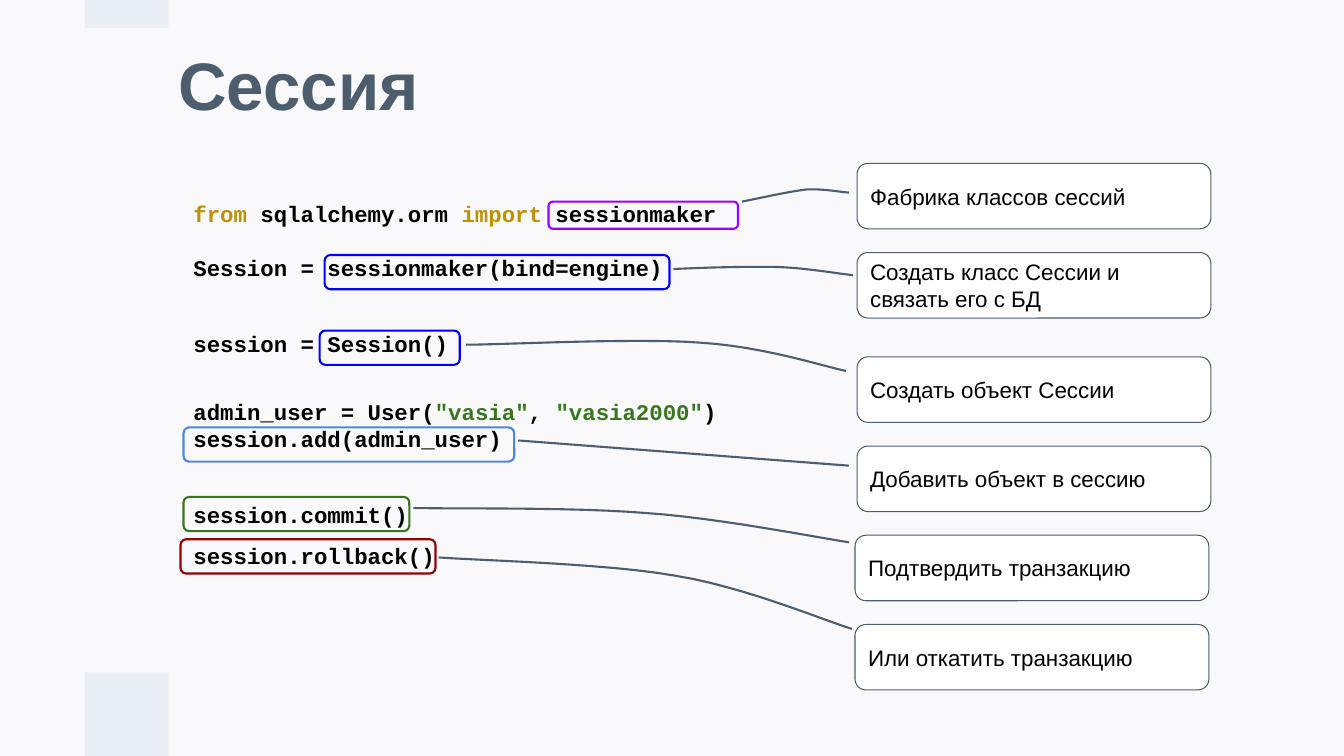
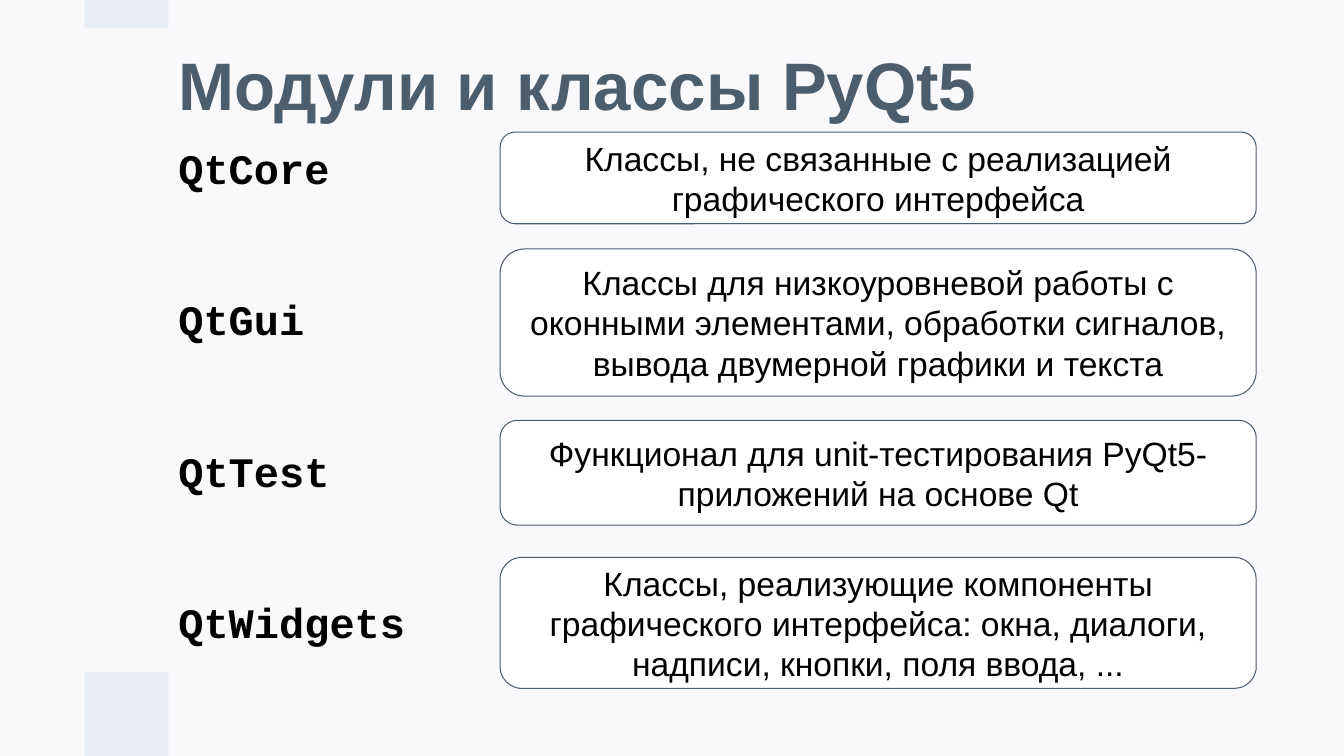
from lxml import etree
from pptx import Presentation
from pptx.dml.color import RGBColor
from pptx.enum.shapes import MSO_CONNECTOR, MSO_SHAPE
from pptx.enum.text import MSO_ANCHOR, PP_ALIGN
from pptx.oxml.ns import qn
from pptx.util import Inches, Pt

SLATE, BLACK, WHITE = "4C5D6E", "000000", "FFFFFF"
PAGE_FILL, BAND_FILL = "F9F9FB", "E9EDF4"
KEYWORD, STRING = "BF9000", "38761D"
SANS, MONO = "Arial", "Courier New"
LINE_RATIO = 1.2


def color(hex_code):
    return RGBColor.from_string(hex_code)


def inches(values):
    return [Inches(value) for value in values]


# Shared building blocks
def set_frame(shape, inset=0.1):
    frame = shape.text_frame
    frame.word_wrap = True
    frame.vertical_anchor = MSO_ANCHOR.MIDDLE
    frame.margin_left = frame.margin_right = Inches(0.1)
    frame.margin_top = frame.margin_bottom = Inches(inset)
    return frame


def set_para(para, size, name=SANS, hex_code=BLACK, bold=False, align=PP_ALIGN.LEFT):
    para.alignment = align
    para.line_spacing = Pt(size * LINE_RATIO)
    font = para.font
    font.name, font.size, font.bold = name, Pt(size), bold
    font.color.rgb = color(hex_code)


def add_box(page, box, kind, fill=None, line=None, width=0.75):
    shape = page.shapes.add_shape(kind, *inches(box))
    shape.shadow.inherit = False
    if fill:
        shape.fill.solid()
        shape.fill.fore_color.rgb = color(fill)
    else:
        shape.fill.background()
    if line:
        shape.line.color.rgb = color(line)
        shape.line.width = Pt(width)
    else:
        shape.line.fill.background()
    return shape


def add_card(page, box, text, size, align=PP_ALIGN.LEFT):
    card = add_box(page, box, MSO_SHAPE.ROUNDED_RECTANGLE, WHITE, SLATE)
    para = set_frame(card).paragraphs[0]
    para.text = text
    set_para(para, size, align=align)


def add_mono_lines(page, box, lines, size, gap=0):
    """Each line is a list of (text, colour) spans; gap is the space between lines."""
    frame = set_frame(page.shapes.add_textbox(*inches(box)))
    for index, spans in enumerate(lines):
        para = frame.add_paragraph() if index else frame.paragraphs[0]
        set_para(para, size, MONO, bold=True)
        if index:
            para.space_before = Pt(gap)
        for text, hex_code in spans:
            span = para.add_run()
            span.text = text
            if hex_code != BLACK:
                span.font.color.rgb = color(hex_code)


def add_page(deck, title):
    page = deck.slides.add_slide(deck.slide_layouts[6])
    page.background.fill.solid()
    page.background.fill.fore_color.rgb = color(PAGE_FILL)
    for top, height in ((0, 0.28), (6.67, 0.83)):
        add_box(page, (0.84, top, 0.83, height), MSO_SHAPE.RECTANGLE, BAND_FILL)
    box = page.shapes.add_textbox(*inches((1.67, 0.06, 10.79, 1.65)))
    para = set_frame(box, 0.05).paragraphs[0]
    para.text = title
    set_para(para, 48, hex_code=SLATE, bold=True)
    para.line_spacing = 0.9
    return page


# Leaders from the code to the notes
def bezier(start, first, second, end, steps=12):
    for step in range(1, steps + 1):
        t = step / steps
        weights = ((1 - t) ** 3, 3 * t * (1 - t) ** 2, 3 * t * t * (1 - t), t ** 3)
        yield tuple(
            sum(weight * point[axis] for weight, point in zip(weights, (start, first, second, end)))
            for axis in (0, 1)
        )


def add_leader(page, points):
    """Two points make a straight line; more are joined cubic curves."""
    if len(points) == 2:
        leader = page.shapes.add_connector(MSO_CONNECTOR.STRAIGHT, *inches(points[0] + points[1]))
        etree.SubElement(leader.line._get_or_add_ln().getparent(), qn("a:effectLst"))
    else:
        builder = page.shapes.build_freeform(*inches(points[0]))
        for index in range(0, len(points) - 1, 3):
            curve = bezier(*points[index:index + 4])
            builder.add_line_segments([inches(point) for point in curve], close=False)
        leader = builder.convert_to_shape()
        leader.fill.background()
        leader.shadow.inherit = False
    leader.line.color.rgb = color(SLATE)
    leader.line.width = Pt(1.5)


# Slide 1: session code with notes
CODE_BLOCKS = [
    ((1.82, 1.9, 6.44, 0.97), [
        [("from ", KEYWORD), ("sqlalchemy.orm ", BLACK), ("import ", KEYWORD),
         ("sessionmaker", BLACK)],
        [("Session = sessionmaker(bind=engine)", BLACK)],
    ], 16 * LINE_RATIO),
    ((1.82, 3.01, 3.28, 0.79), [[("session = Session()", BLACK)]], 0),
    ((1.82, 3.73, 6.92, 0.97), [
        [("admin_user = User(", BLACK), ('"vasia"', STRING), (", ", BLACK),
         ('"vasia2000"', STRING), (")", BLACK)],
        [("session.add(admin_user)", BLACK)],
    ], 0),
    ((1.82, 4.78, 3.28, 0.65), [[("session.commit()", BLACK)]], 0),
    ((1.82, 5.19, 3.28, 0.65), [[("session.rollback()", BLACK)]], 0),
]
NOTES = [
    "Фабрика классов сессий",
    "Создать класс Сессии и связать его с БД",
    "Создать объект Сессии",
    "Добавить объект в сессию",
    "Подтвердить транзакцию",
    "Или откатить транзакцию",
]
HIGHLIGHTS = [
    ((5.44, 2, 1.88, 0.27), "9900FF"),
    ((3.22, 2.53, 3.42, 0.34), "0000FF"),
    ((3.17, 3.28, 1.39, 0.34), "0000FF"),
    ((1.82, 4.24, 3.28, 0.34), "4A86E8"),
    ((1.82, 4.93, 2.24, 0.34), "38761D"),
    ((1.79, 5.35, 2.53, 0.34), "980000"),
]
LEADERS = [
    [(8.42, 1.91), (8.35, 1.91), (8.18, 1.87), (8, 1.88), (7.82, 1.9), (7.47, 1.98), (7.36, 2)],
    [(8.46, 2.73), (8.34, 2.72), (8.01, 2.66), (7.72, 2.65), (7.42, 2.64), (6.85, 2.66),
     (6.68, 2.67)],
    [(8.39, 3.68), (8.15, 3.63), (7.58, 3.44), (6.95, 3.4), (6.32, 3.35), (5, 3.42), (4.62, 3.42)],
    [(8.42, 4.62), (5.14, 4.37)],
    [(8.42, 5.38), (8.09, 5.33), (7.13, 5.14), (6.41, 5.09), (5.69, 5.03), (4.49, 5.05),
     (4.1, 5.04)],
    [(8.45, 6.24), (8.16, 6.15), (7.38, 5.82), (6.69, 5.71), (6.01, 5.59), (4.74, 5.56),
     (4.35, 5.53)],
]


def add_notes(page, box):
    left, top, width, height = box
    for index, text in enumerate(NOTES):
        note_left = left if index < 4 else left - 0.02
        note_top = top + 0.885 * index + (0.15 if index >= 2 else 0)
        add_card(page, (note_left, note_top, width, height), text, 16)


def build_session(deck):
    page = add_page(deck, "Сессия")
    for box, lines, gap in CODE_BLOCKS:
        add_mono_lines(page, box, lines, 16, gap)
    add_notes(page, (8.5, 1.62, 3.51, 0.65))
    for box, hex_code in HIGHLIGHTS:
        add_box(page, box, MSO_SHAPE.ROUNDED_RECTANGLE, line=hex_code, width=1.5)
    for points in LEADERS:
        add_leader(page, points)


# Slide 2: modules and what they hold
MODULES = [
    ("QtCore", 1.31, 0.91, "Классы, не связанные с реализацией графического интерфейса"),
    ("QtGui", 2.47, 1.46, "Классы для низкоуровневой работы с оконными элементами, "
                          "обработки сигналов, вывода двумерной графики и текста"),
    ("QtTest", 4.17, 1.04, "Функционал для unit-тестирования PyQt5-приложений на основе Qt"),
    ("QtWidgets", 5.53, 1.3, "Классы, реализующие компоненты графического интерфейса: "
                             "окна, диалоги, надписи, кнопки, поля ввода, ..."),
]


def build_modules(deck):
    page = add_page(deck, "Модули и классы PyQt5")
    names = [[(name, BLACK)] for name, *_ in MODULES]
    add_mono_lines(page, (1.67, 2.04, 3.78, 3.75), names, 30, gap=2 * 30 * LINE_RATIO)
    for _, top, height, text in MODULES:
        add_card(page, (4.96, top, 7.5, height), text, 24, PP_ALIGN.CENTER)


def main():
    deck = Presentation()
    deck.slide_width, deck.slide_height = inches((13.33, 7.5))
    build_session(deck)
    build_modules(deck)
    deck.save("out.pptx")


if __name__ == "__main__":
    main()
